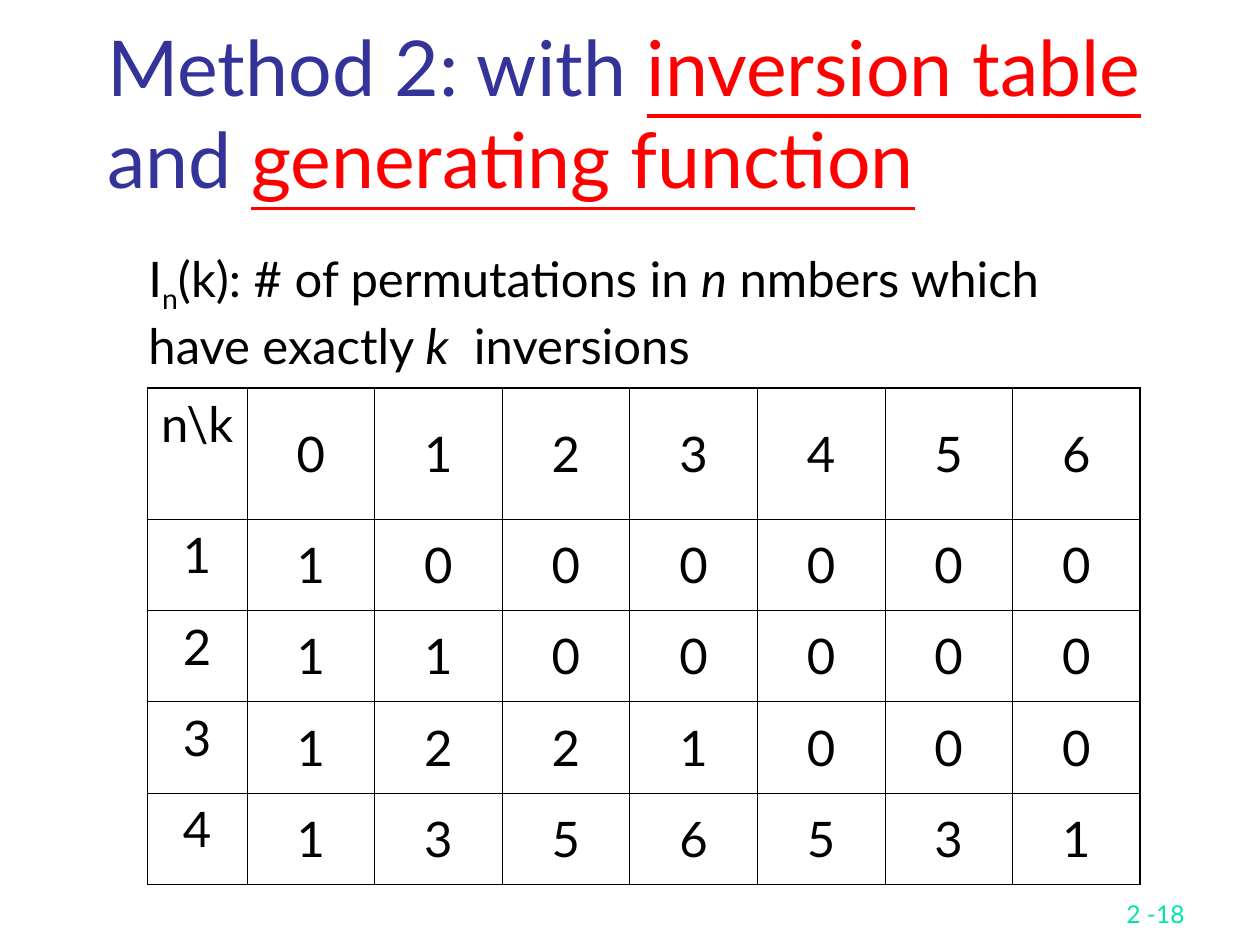
from dataclasses import dataclass

from lxml.etree import SubElement
from pptx import Presentation
from pptx.dml.color import RGBColor
from pptx.enum.text import MSO_ANCHOR as Anchor, MSO_AUTO_SIZE as AutoSize, PP_ALIGN as Align
from pptx.oxml.ns import qn
from pptx.util import Inches, Pt


@dataclass(frozen=True)
class Theme:
    font: str = "Lato"
    title_color: RGBColor = RGBColor(0x33, 0x33, 0x99)
    key_color: RGBColor = RGBColor(0xFF, 0x00, 0x00)
    text_color: RGBColor = RGBColor(0x00, 0x00, 0x00)
    number_color: RGBColor = RGBColor(0x00, 0xE4, 0xA8)
    title_size: float = 44
    body_size: float = 28
    number_size: float = 14
    outer_line: float = 1.08
    inner_line: float = 0.45


@dataclass(frozen=True)
class Box:
    left: float
    top: float
    width: float
    height: float

    def lengths(self) -> tuple:
        return tuple(Inches(n) for n in (self.left, self.top, self.width, self.height))


@dataclass(frozen=True)
class Span:
    text: str
    key: bool = False
    italic: bool = False
    subscript: bool = False


THEME = Theme()

TITLE_BOX = Box(0.75, 0.42, 8.52, 1.25)
DEFINITION_BOX = Box(1.08, 1.92, 8.08, 1.1)
TABLE_BOX = Box(1.17, 3.08, 7.88, 3.94)
NUMBER_BOX = Box(7.42, 6.92, 2.08, 0.5)
LABEL_WIDTH = 0.79
HEADER_HEIGHT = 1.04

TITLE = [
    Span("Method 2: with "),
    Span("inversion table", key=True),
    Span(" and "),
    Span("generating function", key=True),
]
DEFINITION = [
    Span("I"),
    Span("n", subscript=True),
    Span("(k): # of permutations in "),
    Span("n", italic=True),
    Span(" nmbers which have exactly "),
    Span("k", italic=True),
    Span("  inversions"),
]
INVERSION_COUNTS = [
    ["n\\k", 0, 1, 2, 3, 4, 5, 6],
    [1, 1, 0, 0, 0, 0, 0, 0],
    [2, 1, 1, 0, 0, 0, 0, 0],
    [3, 1, 2, 2, 1, 0, 0, 0],
    [4, 1, 3, 5, 6, 5, 3, 1],
]


def write_spans(paragraph, spans: list[Span], size: float, color: RGBColor,
                align: Align = Align.LEFT) -> None:
    paragraph.alignment = align
    paragraph.font.name = THEME.font
    paragraph.font.size = Pt(size)
    paragraph.font.color.rgb = color
    for span in spans:
        run = paragraph.add_run()
        run.text = span.text
        if span.key:
            run.font.color.rgb = THEME.key_color
            run.font.underline = True
        if span.italic:
            run.font.italic = True
        if span.subscript:
            run.font._element.set("baseline", "-25000")


def add_title(slide) -> None:
    title = slide.shapes.title
    title.left, title.top, title.width, title.height = TITLE_BOX.lengths()
    frame = title.text_frame
    frame.auto_size = AutoSize.NONE
    frame.vertical_anchor = Anchor.BOTTOM
    write_spans(frame.paragraphs[0], TITLE, THEME.title_size, THEME.title_color)


def add_text(slide, box: Box, spans: list[Span], size: float, color: RGBColor,
             align: Align = Align.LEFT, anchor: Anchor = Anchor.TOP) -> None:
    frame = slide.shapes.add_textbox(*box.lengths()).text_frame
    frame.word_wrap = True
    frame.vertical_anchor = anchor
    write_spans(frame.paragraphs[0], spans, size, color, align)


def set_borders(cell, outer_sides: dict[str, bool]) -> None:
    """Draw the four sides, heavier where a side lies on the table's edge."""
    properties = cell._tc.get_or_add_tcPr()
    for side, is_outer in outer_sides.items():
        width = Pt(THEME.outer_line if is_outer else THEME.inner_line)
        line = SubElement(properties, qn(f"a:ln{side}"), w=str(width))
        fill = SubElement(line, qn("a:solidFill"))
        SubElement(fill, qn("a:srgbClr"), val=str(THEME.text_color))


def add_counts_table(slide) -> None:
    row_count, column_count = len(INVERSION_COUNTS), len(INVERSION_COUNTS[0])
    table = slide.shapes.add_table(row_count, column_count, *TABLE_BOX.lengths()).table
    table.first_row = table.horz_banding = False

    count_width = (TABLE_BOX.width - LABEL_WIDTH) / (column_count - 1)
    count_height = (TABLE_BOX.height - HEADER_HEIGHT) / (row_count - 1)
    for index, column in enumerate(table.columns):
        column.width = Inches(count_width if index else LABEL_WIDTH)
    for index, row in enumerate(table.rows):
        row.height = Inches(count_height if index else HEADER_HEIGHT)

    for row_index, values in enumerate(INVERSION_COUNTS):
        for column_index, value in enumerate(values):
            cell = table.cell(row_index, column_index)
            cell.vertical_anchor = Anchor.MIDDLE if column_index else Anchor.TOP
            write_spans(cell.text_frame.paragraphs[0], [Span(str(value))],
                        THEME.body_size, THEME.text_color, Align.CENTER)
            set_borders(cell, {
                "L": column_index == 0,
                "R": column_index == column_count - 1,
                "T": row_index == 0,
                "B": row_index == row_count - 1,
            })
            cell.fill.background()


def main() -> None:
    presentation = Presentation()
    presentation.slide_width = Inches(10)
    presentation.slide_height = Inches(7.5)
    slide = presentation.slides.add_slide(presentation.slide_layouts.get_by_name("Title Only"))

    add_text(slide, NUMBER_BOX, [Span("2 -18")], THEME.number_size, THEME.number_color,
             Align.RIGHT, Anchor.BOTTOM)
    add_title(slide)
    add_counts_table(slide)
    add_text(slide, DEFINITION_BOX, DEFINITION, THEME.body_size, THEME.text_color)

    presentation.save("out.pptx")


if __name__ == "__main__":
    main()
